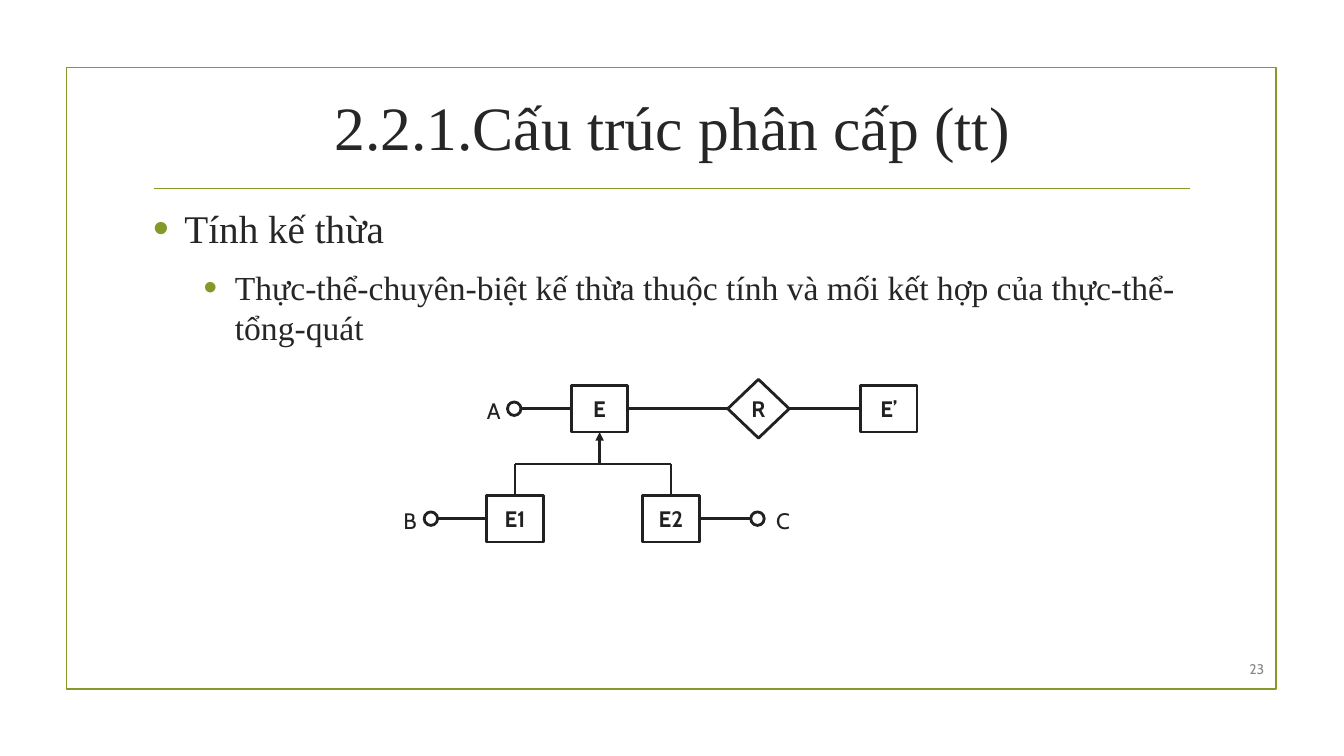
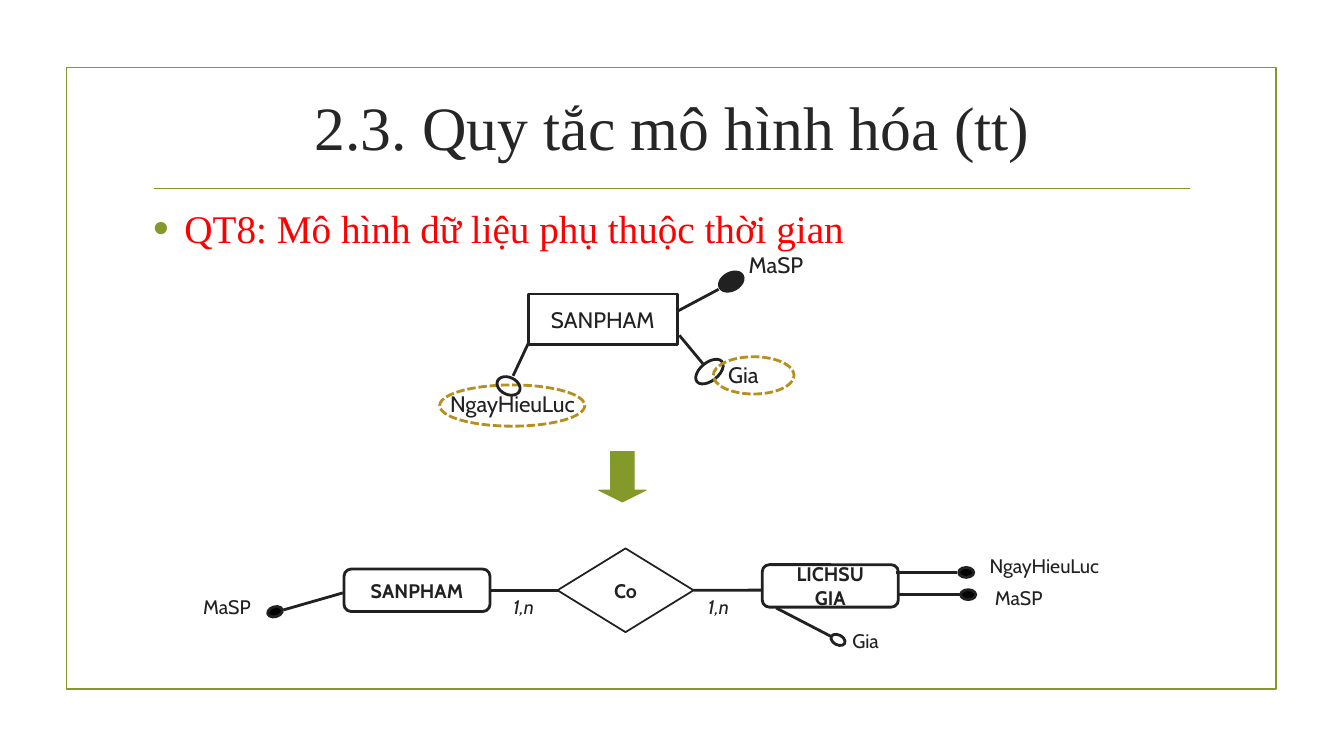
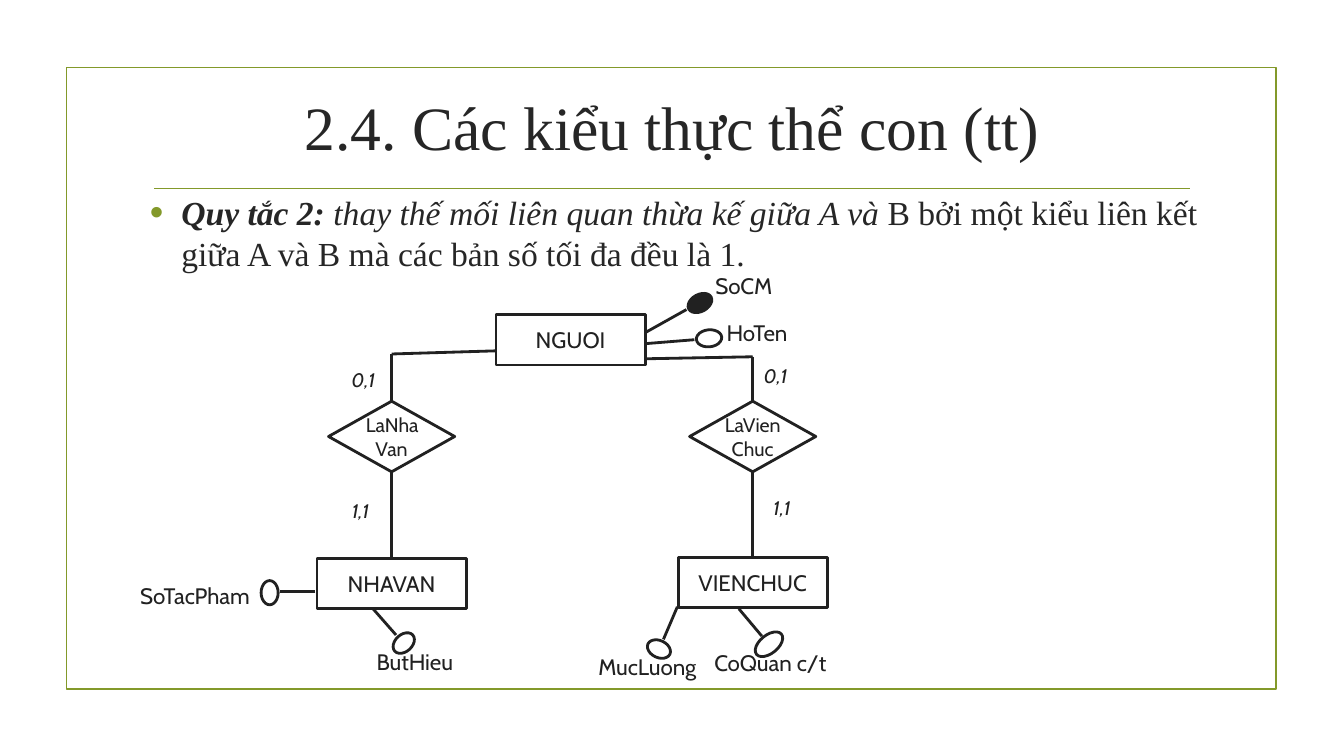
from dataclasses import dataclass
from typing import Any

from lxml import etree
from pptx import Presentation
from pptx.dml.color import RGBColor
from pptx.enum import dml, shapes, text
from pptx.oxml import ns
from pptx.util import Cm, Pt

GREEN = RGBColor(0x83, 0x99, 0x2A)
GOLD = RGBColor(0xB7, 0x8E, 0x20)
INK = RGBColor(0x21, 0x21, 0x21)
HEADING = RGBColor(0x26, 0x26, 0x26)
GREY = RGBColor(0x89, 0x89, 0x89)
RED = RGBColor(0xFF, 0x00, 0x00)
BLACK = RGBColor(0x00, 0x00, 0x00)
WHITE = RGBColor(0xFF, 0xFF, 0xFF)

SERIF = "Times New Roman"
SANS = "Cabin"
BULLET_INDENT = 0.79
LEVEL_STEP = 1.27
TOP, LEFT, BOTTOM, RIGHT = range(4)

RECT = shapes.MSO_SHAPE.RECTANGLE
ROUNDED = shapes.MSO_SHAPE.ROUNDED_RECTANGLE
DIAMOND = shapes.MSO_SHAPE.DIAMOND
OVAL = shapes.MSO_SHAPE.OVAL
CENTER = text.PP_ALIGN.CENTER

ENTITY_SIZE = (3.76, 1.27)
WIDE_OVAL = (0.64, 0.43)
TALL_OVAL = (0.43, 0.61)
LONG_OVAL = (0.46, 0.81)
SMALL_OVAL = (0.38, 0.25)


def style_font(font, name, size, colour, bold=False, italic=False):
    font.name, font.size = name, Pt(size)
    font.color.rgb = colour
    font.bold, font.italic = bold, italic


def write(frame, words, size, name=SANS, colour=INK, align=CENTER,
          bold=False, italic=False):
    frame.word_wrap = True
    frame.text = words
    for paragraph in frame.paragraphs:
        paragraph.alignment = align
        for run in paragraph.runs:
            style_font(run.font, name, size, colour, bold, italic)


def clear_insets(frame):
    frame.margin_left = frame.margin_right = 0
    frame.margin_top = frame.margin_bottom = 0


@dataclass
class Region:
    """A part of a slide; all positions in it are cm from its corner."""
    slide: Any
    left: float = 0
    top: float = 0

    def x(self, offset):
        return Cm(self.left + offset)

    def y(self, offset):
        return Cm(self.top + offset)

    def shape(self, kind, corner, size, fill=None, line=INK, weight=2, angle=0):
        outline = self.slide.shapes.add_shape(
            kind, self.x(corner[0]), self.y(corner[1]), Cm(size[0]), Cm(size[1]))
        outline.shadow.inherit = False
        outline.rotation = angle
        if fill is None:
            outline.fill.background()
        else:
            outline.fill.solid()
            outline.fill.fore_color.rgb = fill
        outline.line.color.rgb = line
        outline.line.width = Pt(weight)
        return outline

    def node(self, kind, words, corner, size, points=16, bold=False, weight=2):
        """An entity or a relationship with its name inside."""
        outline = self.shape(kind, corner, size, WHITE, weight=weight)
        frame = outline.text_frame
        clear_insets(frame)
        frame.vertical_anchor = text.MSO_ANCHOR.MIDDLE
        write(frame, words, points, bold=bold)
        return outline

    def textbox(self, corner, size):
        return self.slide.shapes.add_textbox(
            self.x(corner[0]), self.y(corner[1]), Cm(size[0]), Cm(size[1])).text_frame

    def label(self, words, corner, width, points=16, italic=False):
        frame = self.textbox(corner, (width, 0.8))
        clear_insets(frame)
        write(frame, words, points, italic=italic)

    def wire(self, start, end, begin=None, finish=None, line=INK, weight=2):
        """A line; begin and finish are (shape, side) pairs to join it to."""
        link = self.slide.shapes.add_connector(
            shapes.MSO_CONNECTOR.STRAIGHT, self.x(start[0]), self.y(start[1]),
            self.x(end[0]), self.y(end[1]))
        if begin:
            link.begin_connect(*begin)
        if finish:
            link.end_connect(*finish)
        link.line.color.rgb = line
        link.line.width = Pt(weight)
        etree.SubElement(link._element.spPr, ns.qn("a:effectLst"))
        return link

    def join(self, first, side, second, other_side):
        return self.wire((0, 0), (0, 0), (first, side), (second, other_side))

    def attribute(self, start, end, oval, size, angle, fill,
                  words, label, width, points=16):
        self.wire(start, end)
        self.shape(OVAL, oval, size, fill, angle=angle)
        self.label(words, label, width, points)


def add_bullet(paragraph, level):
    properties = paragraph._p.get_or_add_pPr()
    properties.set("marL", str(Cm(BULLET_INDENT + level * LEVEL_STEP)))
    properties.set("indent", str(-Cm(BULLET_INDENT)))
    colour = etree.SubElement(properties, ns.qn("a:buClr"))
    etree.SubElement(colour, ns.qn("a:srgbClr"), val=str(GREEN))
    etree.SubElement(properties, ns.qn("a:buSzPct"), val="115000")
    etree.SubElement(properties, ns.qn("a:buFont"), typeface="Arial")
    etree.SubElement(properties, ns.qn("a:buChar"), char="•")


def add_body(page, corner, size, items):
    """Bulleted text; an item is level, points, colour and (words, bold, italic) runs."""
    frame = page.textbox(corner, size)
    frame.word_wrap = True
    for index, (level, points, colour, runs) in enumerate(items):
        paragraph = frame.add_paragraph() if index else frame.paragraphs[0]
        paragraph.level = level
        paragraph.space_before = Pt(points * 0.2)
        paragraph.space_after = Pt(6)
        add_bullet(paragraph, level)
        for words, bold, italic in runs:
            run = paragraph.add_run()
            run.text = words
            style_font(run.font, SERIF, points, colour, bold, italic)


def add_page(deck, title, items, corner=(3.61, 5.03), size=(26.67, 12.19)):
    """A slide with the shared frame, title, rule and bulleted text."""
    slide = deck.slides.add_slide(deck.slide_layouts[6])
    page = Region(slide)
    page.shape(RECT, (1.68, 1.7), (30.48, 15.67), line=GREEN, weight=1.25)
    page.wire((3.89, 4.75), (30, 4.75), line=GREEN, weight=1.25)
    heading = page.textbox((3.61, 1.73), (26.67, 2.9))
    heading.vertical_anchor = text.MSO_ANCHOR.MIDDLE
    write(heading, title, 44, SERIF, HEADING)
    add_body(page, corner, size, items)
    return page


def add_page_number(page, number):
    frame = page.textbox((30.61, 16.46), (1.5, 0.79))
    frame.vertical_anchor = text.MSO_ANCHOR.MIDDLE
    write(frame, number, 10, colour=GREY, align=text.PP_ALIGN.RIGHT)


def draw_inheritance(region):
    width, height = size = (1.42, 1.18)
    upper, lower, bus = 0.18, 2.95, 2.16
    general, special_1, special_2, partner = [
        region.node(RECT, name, corner, size, bold=True)
        for name, corner in (("E", (4.42, upper)), ("E1", (2.29, lower)),
                             ("E2", (6.22, lower)), ("E’", (11.71, upper)))]
    relation = region.node(DIAMOND, "R", (8.36, 0.03), (1.55, 1.48), bold=True)
    region.join(general, RIGHT, relation, LEFT)
    region.join(relation, RIGHT, partner, LEFT)

    centres = [left + width / 2 for left in (2.29, 6.22)]
    region.wire((centres[0], bus), (centres[1], bus))
    for centre, special in zip(centres, (special_1, special_2)):
        region.wire((centre, bus), (centre, lower), finish=(special, TOP))
    arrow = region.wire((4.42 + width / 2, bus), (4.42 + width / 2, upper + height),
                        finish=(general, BOTTOM))
    etree.SubElement(arrow.line._get_or_add_ln(), ns.qn("a:tailEnd"), type="triangle")

    radius = 0.17
    for name, centre, row, label_left, entity, side in (
            ("A", 2.98, upper, 2.11, general, LEFT),
            ("B", 0.88, lower, 0, special_1, LEFT),
            ("C", 9.11, lower, 9.4, special_2, RIGHT)):
        middle = row + height / 2
        edge = centre + (radius if side == LEFT else -radius)
        region.wire((edge, middle), (edge, middle), finish=(entity, side))
        region.shape(OVAL, (centre - radius, middle - radius),
                     (2 * radius, 2 * radius), WHITE)
        region.label(name, (label_left, middle - 0.3), 0.71)


def draw_product(region):
    """The entity whose price depends on time."""
    region.attribute((6.3, 1.55), (7.39, 0.97), (7.39, 0.56), WIDE_OVAL, 331.5, INK,
                     "MaSP", (7.49, 0), 2.69)
    region.attribute((6.4, 2.13), (6.99, 2.84), (6.93, 2.64), LONG_OVAL, 50.9, None,
                     "Gia", (5.82, 2.77), 4.39)
    region.node(RECT, "SANPHAM", (2.59, 1.09), ENTITY_SIZE)
    for corner, size in (((7.26, 2.67), (2.03, 0.94)), ((0.36, 3.38), (3.66, 1.04))):
        highlight = region.shape(OVAL, corner, size, line=GOLD)
        highlight.line.dash_style = dml.MSO_LINE.SQUARE_DOT
    region.attribute((2.59, 2.34), (2.21, 3.15), (1.88, 3.1), TALL_OVAL, 115.4, None,
                     "NgayHieuLuc", (0, 3.51), 4.39)


def draw_price_history(region):
    """The same product with its prices in an entity of their own."""
    history = region.node(ROUNDED, "LICHSU\nGIA", (14.71, 0.41), (3.43, 1.07), 14, True)
    product = region.node(ROUNDED, "SANPHAM", (4.17, 0.52), (3.68, 1.07), 14, True)
    for entity in (history, product):
        entity.adjustments[0] = 0.17
    relation = region.node(DIAMOND, "Co", (9.55, 0), (3.43, 2.11), 14, True, 1.25)
    region.join(product, RIGHT, relation, LEFT)
    region.wire((12.98, 1.05), (14.71, 1.05), begin=(relation, RIGHT))
    for left in (7.59, 12.5):
        region.label("1,n", (left, 1.17), 2.21, 14, italic=True)
    for start, end, oval, angle, fill, words, label, width in (
            ((4.14, 1.12), (2.64, 1.55), (2.24, 1.47), 163.5, BLACK,
             "MaSP", (0, 1.17), 2.44),
            ((18.08, 0.61), (19.61, 0.61), (19.66, 0.48), 0, BLACK,
             "NgayHieuLuc", (19.61, 0.13), 4.42),
            ((18.14, 1.17), (19.69, 1.17), (19.71, 1.04), 0, BLACK,
             "MaSP", (18.85, 0.94), 4.65),
            ((15.06, 1.5), (16.43, 2.21), (16.43, 2.18), 27.5, WHITE,
             "Gia", (14.99, 2.03), 4.65)):
        region.attribute(start, end, oval, SMALL_OVAL, angle, fill,
                         words, label, width, 14)


def draw_subtypes(region):
    for start, end, oval, size, angle, fill, words, label, width in (
            ((13.49, 1.55), (14.58, 0.94), (14.6, 0.56), WIDE_OVAL, 331.5, INK,
             "SoCM", (14.68, 0), 2.69),
            ((13.54, 1.8), (14.78, 1.7), (14.83, 1.45), WIDE_OVAL, 354.5, None,
             "HoTen", (14.86, 1.19), 3),
            ((6.68, 8.48), (7.26, 9.14), (7.24, 9.04), TALL_OVAL, 47.8, None,
             "ButHieu", (5.54, 9.47), 4.39),
            ((5.23, 8.05), (4.34, 8.05), (3.86, 7.77), TALL_OVAL, 180, None,
             "SoTacPham", (0, 7.82), 4.39),
            ((15.9, 8.48), (16.48, 9.17), (16.43, 8.97), LONG_OVAL, 50.9, None,
             "CoQuan c/t", (14.5, 9.5), 4.39),
            ((14.35, 8.43), (14, 9.25), (13.67, 9.19), TALL_OVAL, 115.4, None,
             "MucLuong", (11.4, 9.6), 4.39)):
        region.attribute(start, end, oval, size, angle, fill, words, label, width)
    region.node(RECT, "NGUOI", (9.78, 1.07), ENTITY_SIZE)

    for role, subtype, centre, entity_top, start, bend, upper, lower in (
            ("LaNhaVan", "NHAVAN", 7.15, 7.21, (9.8, 1.98), 2.06,
             (5.33, 2.41), (5.26, 5.72)),
            ("LaVienChuc", "VIENCHUC", 16.25, 7.19, (13.59, 2.18), 2.13,
             (15.72, 2.31), (15.88, 5.64))):
        relation = region.node(DIAMOND, role, (centre - 1.59, 3.25), (3.18, 1.78), 14)
        entity = region.node(RECT, subtype, (centre - ENTITY_SIZE[0] / 2, entity_top),
                             ENTITY_SIZE)
        region.wire(start, (centre, bend))
        region.wire((centre, bend), (centre, 3.25), finish=(relation, TOP))
        region.join(relation, BOTTOM, entity, TOP)
        region.label("0,1", upper, 2.21, 14, italic=True)
        region.label("1,1", lower, 2.21, 14, italic=True)


def main():
    deck = Presentation()
    deck.slide_width, deck.slide_height = Cm(33.87), Cm(19.05)

    inheritance = add_page(deck, "2.2.1.Cấu trúc phân cấp (tt)", [
        (0, 28, HEADING, [("Tính kế thừa", False, False)]),
        (1, 24, HEADING, [("Thực-thể-chuyên-biệt kế thừa thuộc tính và mối kết hợp "
                           "của thực-thể-tổng-quát", False, False)])])
    add_page_number(inheritance, "23")
    draw_inheritance(Region(inheritance.slide, 9.98, 9.53))

    time_rule = add_page(deck, "2.3. Quy tắc mô hình hóa (tt)", [
        (0, 28, RED, [("QT8: Mô hình dữ liệu phụ thuộc thời gian", False, False)])])
    draw_product(Region(time_rule.slide, 10.72, 6.32))
    draw_price_history(Region(time_rule.slide, 4.5, 13.82))
    arrow = time_rule.shape(shapes.MSO_SHAPE.DOWN_ARROW, (15.09, 11.38), (1.19, 1.27),
                            GREEN, GREEN, 0.75)
    arrow.adjustments[0], arrow.adjustments[1] = 0.5, 0.25

    subtypes = add_page(deck, "2.4. Các kiểu thực thể con (tt)", [
        (0, 24, HEADING, [
            ("Quy tắc 2: ", True, True),
            ("thay thế mối liên quan thừa kế giữa A và ", False, True),
            ("B bởi một kiểu liên kết giữa A và B mà các bản số tối đa đều là 1.",
             False, False)])], (3.53, 4.72), (28.12, 3.12))
    draw_subtypes(Region(subtypes.slide, 2.72, 6.86))

    deck.save("out.pptx")


if __name__ == "__main__":
    main()
